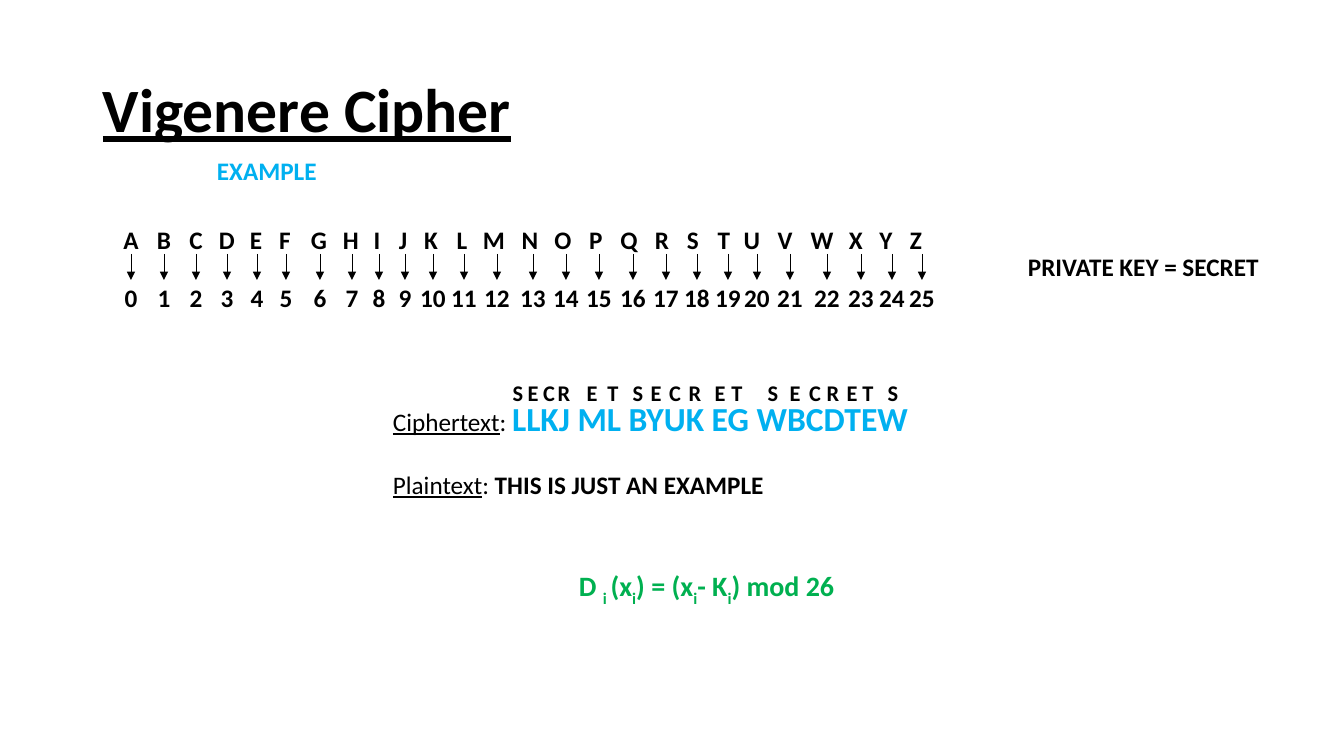
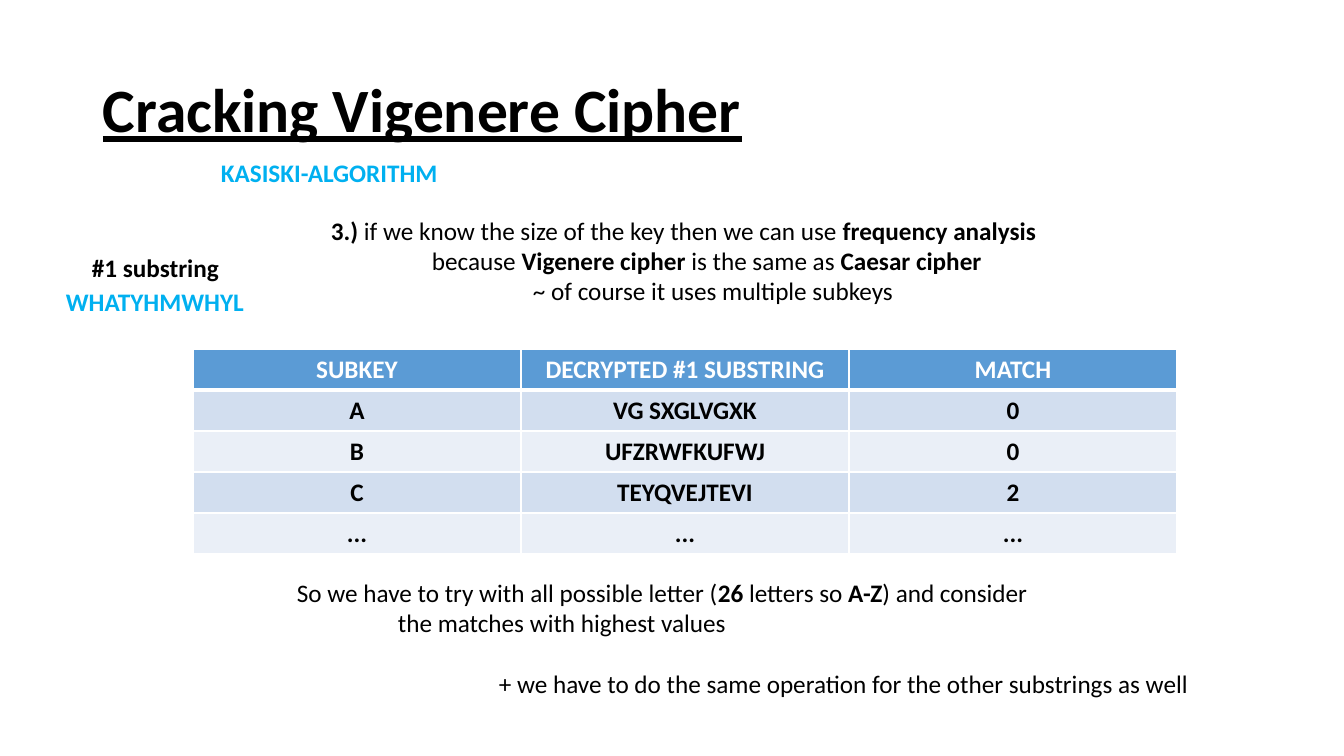
from itertools import cycle
from lxml.etree import SubElement
from pptx import Presentation
from pptx.dml.color import RGBColor as RGB
from pptx.enum.shapes import MSO_CONNECTOR as Link
from pptx.enum.text import MSO_ANCHOR as Anchor, PP_ALIGN as Align
from pptx.oxml import parse_xml
from pptx.oxml.ns import nsdecls, qn
from pptx.util import Pt

SCALE = 914400 / 100.8
FONT = "Calibri"
BLACK, WHITE, CYAN, GREEN = "000000", "FFFFFF", "00B0F0", "00B050"
HEAD, BANDS = "5B9BD5", ("D2DEEF", "EAEFF7")
INSET, TAB, GAP = 10, 101, 22


def px(n):
    return round(n * SCALE)


def hue(code):
    return RGB.from_string(code)


def style(para, size, color, bold=False):
    font = para.font
    font.name, font.size, font.bold = FONT, Pt(size), bold
    font.color.rgb = hue(color)


def add_run(para, text, marks="", size=None, color=None):
    run = para.add_run()
    run.text = text
    font = run.font
    if "b" in marks:
        font.bold = True
    if "u" in marks:
        font.underline = True
    if "s" in marks:
        run._r.get_or_add_rPr().set("baseline", "-25000")
    if size:
        font.size = Pt(size)
    if color:
        font.color.rgb = hue(color)


def add_text(slide, box, lines, size=18, color=BLACK, bold=False, align=Align.LEFT):
    frame = slide.shapes.add_textbox(*map(px, box)).text_frame
    frame.word_wrap = True
    for n, line in enumerate(lines):
        para = frame.add_paragraph() if n else frame.paragraphs[0]
        para.alignment = align
        style(para, size, color, bold)
        for part in [(line,)] if isinstance(line, str) else line:
            add_run(para, *part)
    return frame


def indent(para, width):
    para._p.get_or_add_pPr().set("marL", str(px(width)))


def add_title(slide, title, topic, spot):
    frame = add_text(slide, (93, 40, 1159, 146), [[(title, "u")]], 44, bold=True)
    frame.vertical_anchor = Anchor.MIDDLE
    frame.paragraphs[0].line_spacing = 0.9
    add_text(slide, (*spot, 300, 40), [topic], color=CYAN, bold=True)


def add_arrow(slide, x, top, end):
    line = slide.shapes.add_connector(Link.STRAIGHT, px(x), px(top), px(x), px(end))
    line.line.color.rgb = hue(BLACK)
    line.line.width = Pt(0.5)
    props = line._element.spPr
    SubElement(props.find(qn("a:ln")), qn("a:tailEnd"), type="triangle")
    SubElement(props, qn("a:effectLst"))


def add_codes(slide, box, stops):
    left, top, width, height = box
    names = "ABCDEFGHIJKLMNOPQRSTUVWXYZ"
    row = add_text(slide, (left, top, width, 40),
                   ["".join("\t" + name for name in names)], bold=True)
    tabs = parse_xml(f"<a:tabLst {nsdecls('a')}/>")
    row.paragraphs[0]._p.get_or_add_pPr().insert(0, tabs)
    for n, x in enumerate(stops):
        place = px(x - n // 4 - left - INSET)
        SubElement(tabs, qn("a:tab"), pos=str(place), algn="ctr")
        add_arrow(slide, x, top + 35, top + 61)
        add_text(slide, (x - 24, top + height - 40, 48, 40), [str(n)],
                 bold=True, align=Align.CENTER)


def add_key(slide, top, word, stops):
    for x, name in zip(stops, cycle(word)):
        add_text(slide, (x - 17, top, 34, 37), [name], 16,
                 bold=True, align=Align.CENTER)


def add_grid(slide, box, rows):
    table = slide.shapes.add_table(len(rows), len(rows[0]), *map(px, box)).table
    for r, row in enumerate(rows):
        for c, word in enumerate(row):
            cell = table.cell(r, c)
            para = cell.text_frame.paragraphs[0]
            add_run(para, word)
            para.alignment = Align.CENTER
            style(para, 18, BLACK if r else WHITE, True)
            for side in "LRTB":
                thick = (r, side) in ((0, "B"), (1, "T"))
                edge = SubElement(cell._tc.get_or_add_tcPr(), qn("a:ln" + side),
                                  w=str(Pt(3 if thick else 1)))
                SubElement(SubElement(edge, qn("a:solidFill")),
                           qn("a:srgbClr"), val=WHITE)
            cell.fill.solid()
            cell.fill.fore_color.rgb = hue(BANDS[(r - 1) % 2] if r else HEAD)


def cipher(slide):
    add_title(slide, "Vigenere Cipher", "EXAMPLE", (207, 150))
    add_codes(slide, (86, 219, 880, 98),
              (131, 164, 196, 227, 257, 286, 320, 352, 379, 405, 433, 464, 497,
               533, 566, 599, 633, 666, 697, 728, 757, 790, 827, 861, 892, 922))
    add_text(slide, (1018, 246, 270, 40), ["PRIVATE KEY = SECRET"], bold=True)
    texts = add_text(slide, (383, 393, 560, 112), [
        [("Ciphertext", "u"), (": ",),
         ("LLKJ ML BYUK EG WBCDTEW", "b", 24, CYAN)],
        [("Plaintext", "u"), (": ",), ("THIS IS JUST AN EXAMPLE", "b")]])
    texts.paragraphs[1].space_before = Pt(GAP)
    add_key(slide, 374, "SECRET",
            (518, 533, 549, 564, 592, 613, 638, 656, 675, 695, 720, 737,
             773, 795, 815, 833, 852, 868, 893))
    add_text(slide, (569, 564, 300, 44), [
        [("D ",), ("i ", "s"), ("(x",), ("i", "s"), (") = (x",), ("i", "s"),
         ("- K",), ("i", "s"), (") mod 26",)]], 20, GREEN, True)


def cracking(slide):
    add_title(slide, "Cracking Vigenere Cipher", "KASISKI-ALGORITHM", (211, 152))
    steps = add_text(slide, (321, 210, 740, 110), [
        [("3.) ", "b"), ("if we know the size of the key then we can use ",),
         ("frequency analysis", "b")],
        [("because ",), ("Vigenere cipher ", "b"), ("is the same as ",),
         ("Caesar cipher", "b")],
        "~ of course it uses multiple subkeys"])
    for n, para in enumerate(steps.paragraphs):
        indent(para, n * TAB)
    add_text(slide, (82, 247, 160, 40), ["#1 substring"], bold=True)
    add_text(slide, (56, 281, 210, 40), ["WHATYHMWHYL"], color=CYAN, bold=True)
    add_grid(slide, (193, 349, 984, 205), (
        ("SUBKEY", "DECRYPTED #1 SUBSTRING", "MATCH"),
        ("A", "VG SXGLVGXK", "0"),
        ("B", "UFZRWFKUFWJ", "0"),
        ("C", "TEYQVEJTEVI", "2"),
        ("...", "...", "...")))
    notes = add_text(slide, (287, 572, 935, 132), [
        [("So we have to try with all possible letter (",), ("26", "b"),
         (" letters so ",), ("A-Z", "b"), (") and consider",)],
        "the matches with highest values",
        "+ we have to do the same operation for the other substrings as well"])
    for n, para in enumerate(notes.paragraphs):
        indent(para, n * TAB)
    notes.paragraphs[2].space_before = Pt(GAP)


deck = Presentation()
deck.slide_width, deck.slide_height = px(1344), px(756)
for build in (cipher, cracking):
    build(deck.slides.add_slide(deck.slide_layouts[6]))
deck.save("out.pptx")
